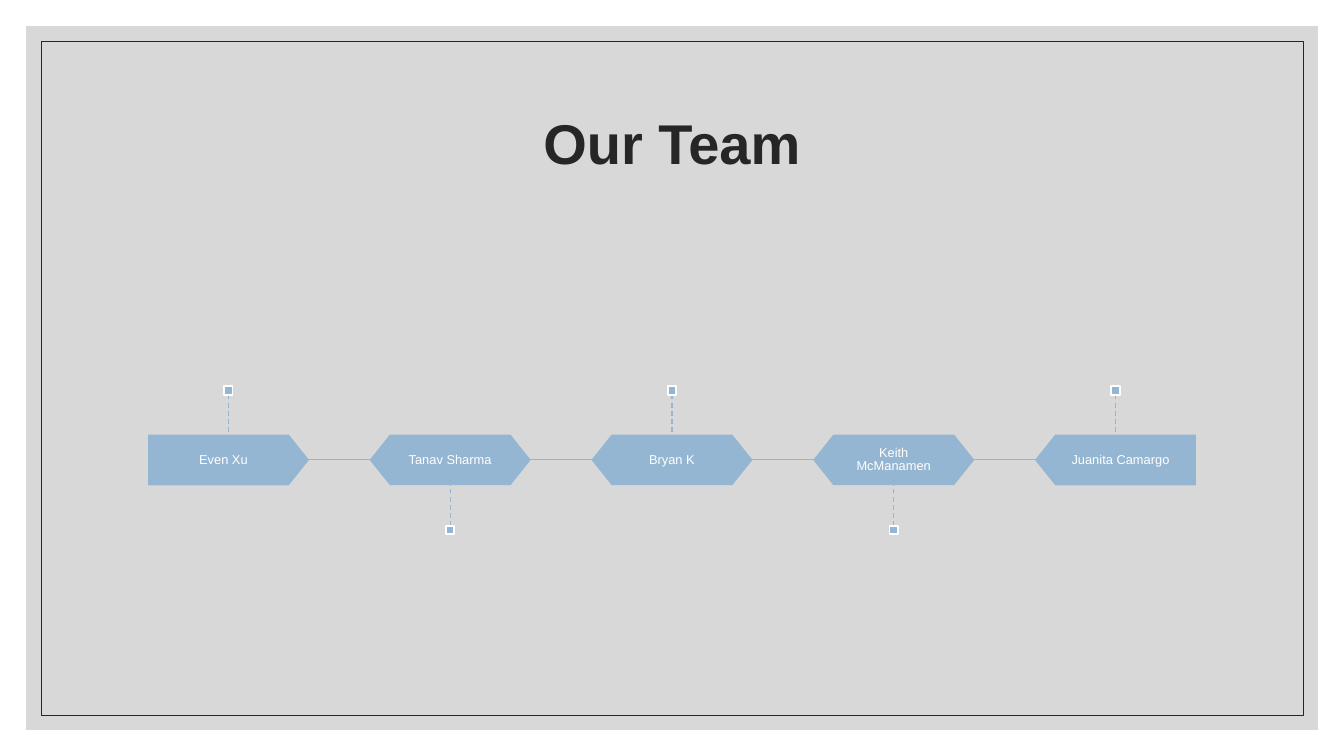
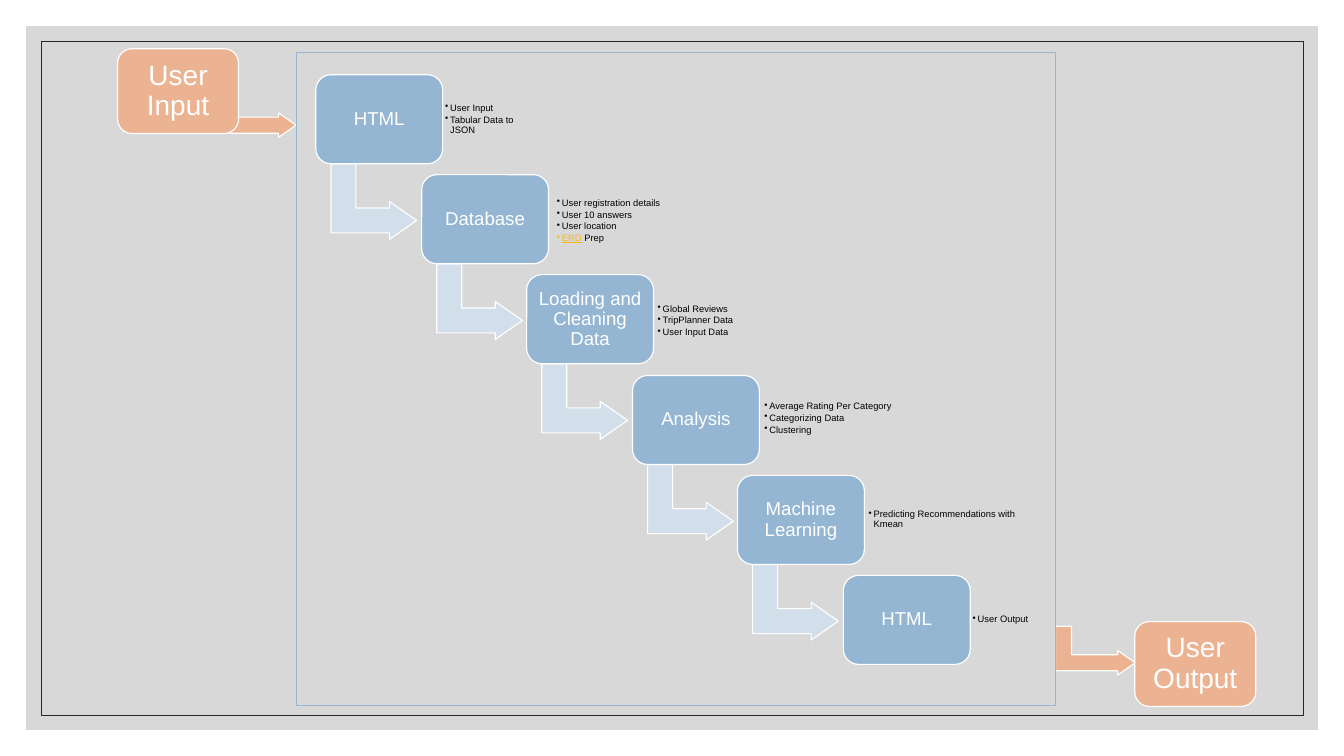
from lxml import etree
from pptx import Presentation
from pptx import util as u
from pptx.dml.color import RGBColor
from pptx.enum import dml, shapes, text
from pptx.oxml.ns import qn

PX = 9144  # EMU: 100 px to the inch
FONT = "Arial"
WHITE = RGBColor(0xFF, 0xFF, 0xFF)
BLACK = RGBColor(0x00, 0x00, 0x00)
INK = RGBColor(0x26, 0x26, 0x26)
GRAY = RGBColor(0xBF, 0xBF, 0xBF)
BLUE = RGBColor(0x94, 0xB6, 0xD2)
PALE_BLUE = RGBColor(0xD2, 0xDE, 0xEA)
ORANGE = RGBColor(0xEB, 0xB3, 0x91)
GOLD = RGBColor(0xF7, 0xB6, 0x15)

KIND = shapes.MSO_SHAPE
ALIGN = text.PP_ALIGN
BENT_ARROW = [0.33, 0.25, 0.36]

MEMBERS = ["Even Xu", "Tanav Sharma", "Bryan K", "Keith McManamen", "Juanita Camargo"]

# Step name, place of its list, list items
STEPS = [
    ("HTML", (527, 99, 110, 86), ["User Input", "Tabular Data to JSON"]),
    ("Database", (660, 220, 254, 86),
     ["User registration details", "User 10 answers", "User location",
      [("ERD", {"color": GOLD, "underline": True}), (" Prep", {})]]),
    ("Loading and Cleaning Data", (780, 339, 302, 86),
     ["Global Reviews", "TripPlanner Data", "User Input Data"]),
    ("Analysis", (907, 455, 380, 86),
     ["Average Rating Per Category", "Categorizing Data", "Clustering"]),
    ("Machine Learning", (1031, 576, 216, 86), ["Predicting Recommendations with Kmean"]),
    ("HTML", (1155, 695, 110, 86), ["User Output"]),
]


def px(*lengths):
    return [u.Emu(round(length * PX)) for length in lengths]


class Sketch:
    """Holds the deck, its style and the slide being drawn."""

    def __init__(self):
        self.deck = Presentation()
        self.deck.slide_width, self.deck.slide_height = px(1600, 900)
        self.slide = None

    def new_slide(self):
        self.slide = self.deck.slides.add_slide(self.deck.slide_layouts[6])
        panel = self.shape(KIND.RECTANGLE, (31, 31, 1538, 838), GRAY)
        color = panel._element.spPr.find(qn("a:solidFill"))[0]
        etree.SubElement(color, qn("a:alpha"), val="60000")
        self.shape(KIND.RECTANGLE, (49, 49, 1502, 802), line=INK, weight=0.5)

    def shape(self, kind, place, fill=None, line=None, weight=1, adjust=(), turn=0):
        shape = self.slide.shapes.add_shape(kind, *px(*place))
        shape.shadow.inherit = False
        shape.rotation = turn
        for index, value in enumerate(adjust):
            shape.adjustments[index] = value
        for target, color in ((shape.fill, fill), (shape.line.fill, line)):
            if color is None:
                target.background()
            else:
                target.solid()
                target.fore_color.rgb = color
        if line is not None:
            shape.line.width = u.Pt(weight)
        return shape

    def line(self, start, end, dash=None):
        line = self.slide.shapes.add_connector(
            shapes.MSO_CONNECTOR.STRAIGHT, *px(*start, *end))
        line.line.color.rgb = BLUE
        line.line.width = u.Pt(1)
        line.line.dash_style = dash
        etree.SubElement(line._element.spPr, qn("a:effectLst"))
        return line

    def text_box(self, place, paragraphs, size, **style):
        box = self.slide.shapes.add_textbox(*px(*place))
        self.set_text(box, paragraphs, size, **style)

    def set_text(self, box, paragraphs, size, color=WHITE, bold=False, inset=10, bullets=False):
        """Fill a shape with paragraphs, each a string or a list of (text, formats)."""
        frame = box.text_frame
        formats = {"word_wrap": True, "vertical_anchor": text.MSO_ANCHOR.MIDDLE}
        for side in ("left", "top", "right", "bottom"):
            formats["margin_" + side] = px(inset)[0]
        for name, value in formats.items():
            setattr(frame, name, value)
        for index, spans in enumerate(paragraphs):
            para = frame.add_paragraph() if index else frame.paragraphs[0]
            para.line_spacing = 0.9
            para.alignment = ALIGN.LEFT if bullets else ALIGN.CENTER
            if bullets:
                self.bullet(para)
            if isinstance(spans, str):
                spans = [(spans, {})]
            for words, changes in spans:
                span = para.add_run()
                span.text = words
                look = {"name": FONT, "size": u.Pt(size), "bold": bold,
                        "color": color, **changes}
                span.font.color.rgb = look.pop("color")
                for name, value in look.items():
                    setattr(span.font, name, value)

    def bullet(self, para):
        para.level = 1
        para.space_after = u.Pt(1.5)
        indent = px(6)[0]
        properties = para._p.get_or_add_pPr()
        properties.set("marL", str(indent))
        properties.set("indent", str(-indent))
        etree.SubElement(properties, qn("a:buChar"), char="•")

    def rounded(self, place, label, fill, size, inset):
        box = self.shape(KIND.ROUNDED_RECTANGLE, place, fill, WHITE, adjust=[0.17])
        self.set_text(box, [label], size, inset=inset)

    def bent_arrow(self, place, fill):
        self.shape(KIND.BENT_UP_ARROW, place, fill, WHITE, adjust=BENT_ARROW, turn=90)


def draw_team(sketch):
    sketch.new_slide()
    sketch.text_box((140, 84, 1320, 180), ["Our Team"], 48, color=INK, bold=True)
    top, width, height, pitch = 518, 190, 59, 264
    last = len(MEMBERS) - 1
    for index, member in enumerate(MEMBERS):
        left = 177 + index * pitch
        center = left + width // 2
        kind = KIND.PENTAGON if index in (0, last) else KIND.HEXAGON
        card = sketch.shape(kind, (left, top, width, height), BLUE, BLUE,
                            adjust=[0.4], turn=180 if index == last else 0)
        if index == last:
            sketch.text_box((left + 12, top, width - 12, height), [member], 11)
        else:
            sketch.set_text(card, [member], 11)
            middle = top + height / 2
            sketch.line((left + width, middle), (left + pitch, middle))
        above = index % 2 == 0
        marker_top, edge = (460, top) if above else (626, top + height)
        stem = sketch.line((center, marker_top), (center, edge), dml.MSO_LINE.DASH)
        marker = sketch.shape(KIND.RECTANGLE, (center - 5, marker_top, 10, 10),
                              BLUE, WHITE, 1.5)
        stem.begin_connect(marker, 2 if above else 0)


def draw_flow(sketch):
    sketch.new_slide()
    for index, (name, list_place, items) in enumerate(STEPS):
        left, top = round(376 + 125.6 * index), round(89 + 119.2 * index)
        if index < len(STEPS) - 1:
            sketch.bent_arrow((left + 24, top + 100, 90, 102), PALE_BLUE)
        sketch.rounded((left, top, 151, 106), name, BLUE, 16, 7)
        sketch.text_box(list_place, items, 8, color=BLACK, inset=3, bullets=True)
    for label, left, top, arrow_left, arrow_top in (
            ("User Output", 1351, 740, 1275, 727), ("User Input", 140, 58, 276, 87)):
        sketch.bent_arrow((arrow_left, arrow_top, 58, 95), ORANGE)
        sketch.rounded((left, top, 144, 101), label, ORANGE, 24, 10)
    sketch.shape(KIND.RECTANGLE, (353, 62, 904, 778), line=BLUE)


def main():
    sketch = Sketch()
    draw_team(sketch)
    draw_flow(sketch)
    sketch.deck.save("out.pptx")


if __name__ == "__main__":
    main()
